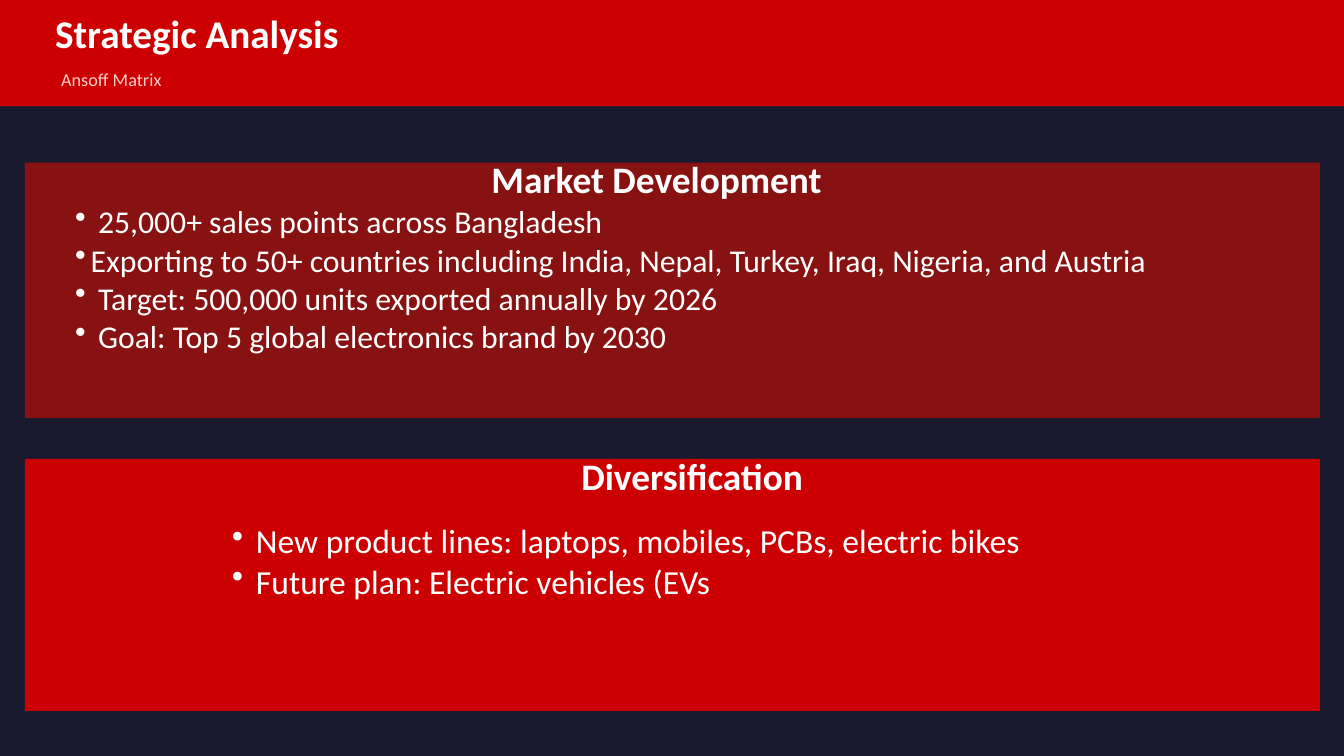
import pptx
import pptx.dml.color
import pptx.enum.shapes
import pptx.enum.text
import pptx.oxml.ns
import pptx.util
from lxml import etree

PX = 9144
SLIDE = (2000, 1125)
THEME = {
    "font": "Calibri",
    "night": "1A1A2E", "red": "CC0000", "maroon": "881111",
    "white": "FFFFFF", "pink": "FFCCCC",
    "title": 42, "heading": 40, "subtitle": 19.5,
}

TITLE = ("Strategic Analysis", (82, 14, 422, 79))
SUBTITLE = ("Ansoff Matrix", (91, 102, 1775, 38))
BANNER = (0, 0, 2000, 158)
WIDE, TIGHT = 34, 23
PANELS = [
    {
        "area": (37, 242, 1927, 380), "fill": "maroon",
        "heading": ("Market Development", (587, 233, 780, 75)),
        "list_area": (112, 301, 1927, 232), "size": 34,
        "items": [
            ("25,000+ sales points across Bangladesh", WIDE),
            ("Exporting to 50+ countries including India, Nepal, Turkey, Iraq, Nigeria, and Austria", TIGHT),
            ("Target: 500,000 units exported annually by 2026", WIDE),
            ("Goal: Top 5 global electronics brand by 2030", WIDE),
        ],
    },
    {
        "area": (37, 683, 1927, 375), "fill": "red",
        "heading": ("Diversification", (726, 674, 608, 75)),
        "list_area": (345, 774, 1377, 126), "size": 36,
        "items": [
            ("New product lines: laptops, mobiles, PCBs, electric bikes", WIDE + 2),
            ("Future plan: Electric vehicles (EVs", WIDE + 2),
        ],
    },
]


def color(name):
    return pptx.dml.color.RGBColor.from_string(THEME[name])


def emu(lengths):
    return [length * PX for length in lengths]


def add_panel(page, area, fill):
    panel = page.shapes.add_shape(pptx.enum.shapes.MSO_SHAPE.RECTANGLE, *emu(area))
    panel.shadow.inherit = False
    panel.fill.solid()
    panel.fill.fore_color.rgb = color(fill)
    panel.line.fill.background()


def add_bullet(para, hang):
    properties = para._p.get_or_add_pPr()
    properties.set("marL", str(hang * PX))
    properties.set("indent", str(-hang * PX))
    bullet = etree.SubElement(properties, pptx.oxml.ns.qn("a:buChar"))
    bullet.set("char", "•")


def write(box, items, size, ink="white", bold=False, centered=False):
    frame = box.text_frame
    frame.word_wrap = True
    frame.auto_size = pptx.enum.text.MSO_AUTO_SIZE.NONE
    frame.vertical_anchor = pptx.enum.text.MSO_ANCHOR.TOP
    frame.margin_left = frame.margin_right = frame.margin_top = frame.margin_bottom = 0
    align = pptx.enum.text.PP_ALIGN
    for index, (text, hang) in enumerate(items):
        para = frame.add_paragraph() if index else frame.paragraphs[0]
        if hang:
            add_bullet(para, hang)
        para.alignment = align.CENTER if centered else align.LEFT
        para.line_spacing = pptx.util.Pt(size * 1.2)
        span = para.add_run()
        span.text = text
        span.font.name = THEME["font"]
        span.font.size = pptx.util.Pt(size)
        span.font.bold = bold
        span.font.color.rgb = color(ink)


def add_text(page, area, items, size, **style):
    write(page.shapes.add_textbox(*emu(area)), items, size, **style)


def add_title(page):
    text, area = TITLE
    box = page.shapes.title
    box.left, box.top, box.width, box.height = emu(area)
    write(box, [(text, 0)], THEME["title"], bold=True, centered=True)
    page.shapes._spTree.append(box._element)


def main():
    deck = pptx.Presentation()
    deck.slide_width, deck.slide_height = emu(SLIDE)
    page = deck.slides.add_slide(deck.slide_layouts[5])
    page.background.fill.solid()
    page.background.fill.fore_color.rgb = color("night")

    for panel in PANELS:
        add_panel(page, panel["area"], panel["fill"])
        heading, area = panel["heading"]
        add_text(page, area, [(heading, 0)], THEME["heading"], bold=True, centered=True)
        add_text(page, panel["list_area"], panel["items"], panel["size"])

    add_panel(page, BANNER, "red")
    add_title(page)
    subtitle, area = SUBTITLE
    add_text(page, area, [(subtitle, 0)], THEME["subtitle"], ink="pink")
    deck.save("out.pptx")


if __name__ == "__main__":
    main()
